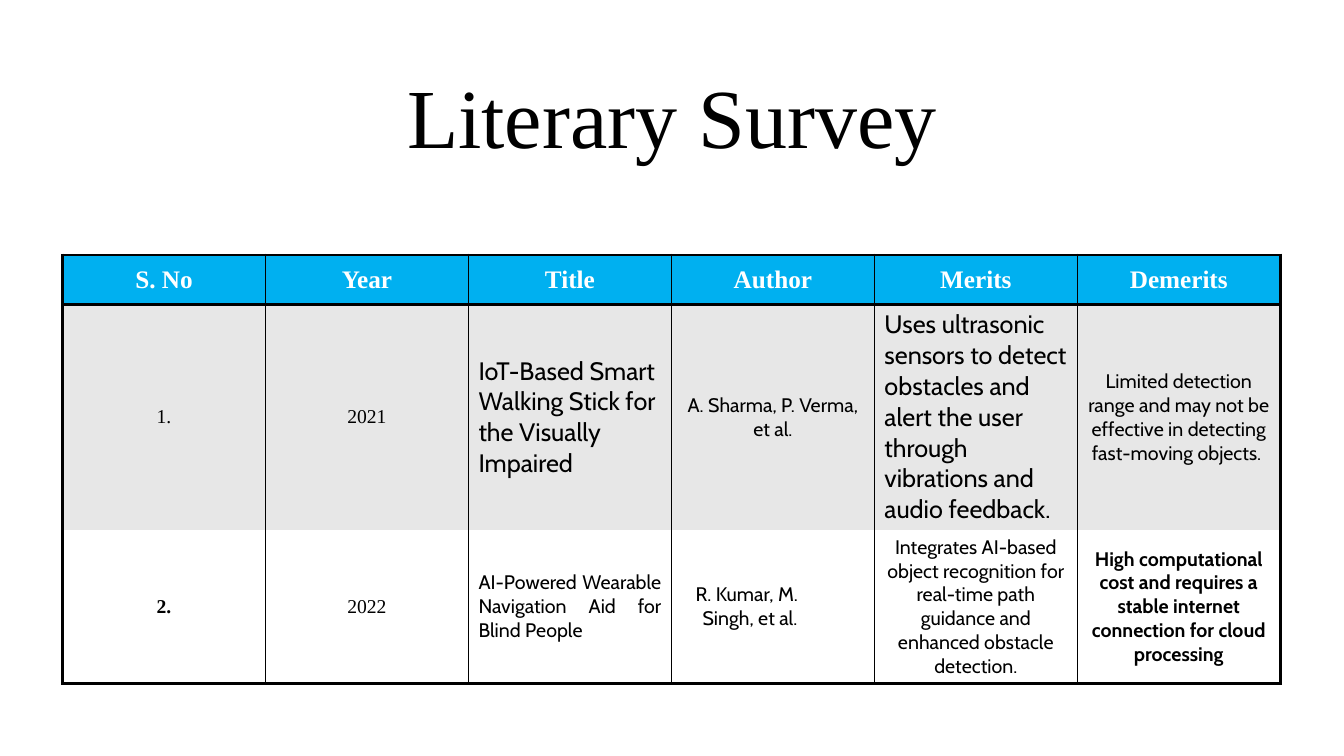
from lxml import etree
from pptx import Presentation
from pptx.dml.color import RGBColor
from pptx.enum.text import MSO_ANCHOR, PP_ALIGN
from pptx.oxml.ns import qn
from pptx.util import Inches, Pt

LEFT, CENTER, JUSTIFY = PP_ALIGN.LEFT, PP_ALIGN.CENTER, PP_ALIGN.JUSTIFY
MIDDLE = MSO_ANCHOR.MIDDLE
SERIF, SANS = "Times New Roman", "Cabin"
COLORS = {"black": "000000", "white": "FFFFFF", "header": "00B0F0", "band": "E7E7E7"}
WIDTH, HEIGHT = Inches(13.33), Inches(7.5)
INNER, HEADER_RULE, OUTER = 1, 2, 2.25

HEADERS = ["S. No", "Year", "Title", "Author", "Merits", "Demerits"]
ROW_HEIGHTS = [0.49, 2.24, 1.52]
ROW_FILLS = ["header", "band", "white"]
STUDIES = [
    [
        ("1.", SERIF, 14, False, CENTER),
        ("2021", SERIF, 14, False, CENTER),
        ("IoT-Based Smart Walking Stick for the Visually Impaired", SANS, 18, False, LEFT),
        ("A. Sharma, P. Verma, et al.", SANS, 14, False, CENTER),
        ("Uses ultrasonic sensors to detect obstacles and alert the user through "
         "vibrations and audio feedback.", SANS, 18, False, LEFT),
        ("Limited detection range and may not be effective in detecting "
         "fast-moving objects. ", SANS, 14, False, CENTER),
    ],
    [
        ("2.", SERIF, 14, True, CENTER),
        ("2022", SERIF, 14, False, CENTER),
        ("AI-Powered Wearable Navigation Aid for Blind People", SANS, 14, False, JUSTIFY),
        ("R. Kumar, M. Singh, et al.", SANS, 14, False, LEFT),
        ("Integrates AI-based object recognition for real-time path guidance and "
         "enhanced obstacle detection.", SANS, 14, False, CENTER),
        ("High computational cost and requires a stable internet connection for "
         "cloud processing", SANS, 14, True, CENTER),
    ],
]


def rgb(name):
    return RGBColor.from_string(COLORS[name])


def write_text(tf, text, font, size, bold, align, color="black"):
    tf.text = text
    tf.word_wrap = True
    p = tf.paragraphs[0]
    p.alignment = align
    r = p.runs[0]
    r.font.name, r.font.size, r.font.bold = font, Pt(size), bold
    r.font.color.rgb = rgb(color)
    return p


def add_title(slide, text):
    s = slide.shapes.add_textbox(
        round(WIDTH * 0.125), round(HEIGHT * 0.09), round(WIDTH * 0.75), round(HEIGHT * 0.14))
    s.text_frame.vertical_anchor = MIDDLE
    p = write_text(s.text_frame, text, SERIF, 60, False, CENTER)
    p.line_spacing = 0.9


def set_borders(cell, widths):
    tc_pr = cell._tc.get_or_add_tcPr()
    for side, width in widths.items():
        ln = etree.SubElement(tc_pr, qn(f"a:ln{side}"), w=str(Pt(width)))
        if width:
            fill = etree.SubElement(ln, qn("a:solidFill"))
            etree.SubElement(fill, qn("a:srgbClr"), val=COLORS["black"])
        else:
            etree.SubElement(ln, qn("a:noFill"))


def add_survey_table(slide):
    rows = [[(h, SERIF, 18, True, CENTER, "white") for h in HEADERS]] + STUDIES
    last_row, last_col = len(rows) - 1, len(HEADERS) - 1
    table = slide.shapes.add_table(
        len(rows), len(HEADERS), Inches(0.62), Inches(2.53),
        Inches(12.08), Inches(sum(ROW_HEIGHTS))).table
    table.first_row = table.horz_banding = False
    for i, row in enumerate(rows):
        table.rows[i].height = Inches(ROW_HEIGHTS[i])
        for j, content in enumerate(row):
            cell = table.cell(i, j)
            set_borders(cell, {
                "L": INNER if j else OUTER,
                "R": OUTER if j == last_col else INNER,
                "T": (OUTER, HEADER_RULE, 0)[i],
                "B": OUTER if i == last_row else (HEADER_RULE, 0)[i],
            })
            cell.fill.solid()
            cell.fill.fore_color.rgb = rgb(ROW_FILLS[i])
            cell.vertical_anchor = MIDDLE
            write_text(cell.text_frame, *content)
    return table


def indent_author(cell):
    cell.margin_right = Inches(0.35)
    p = cell.text_frame.paragraphs[0]
    p.space_before = Pt(2.4)
    p_pr = p._p.get_or_add_pPr()
    p_pr.set("marL", str(Inches(0.21)))
    p_pr.set("indent", str(Inches(-0.07)))


def main():
    prs = Presentation()
    prs.slide_width, prs.slide_height = WIDTH, HEIGHT
    slide = prs.slides.add_slide(prs.slide_layouts[6])
    add_title(slide, "Literary Survey")
    table = add_survey_table(slide)
    indent_author(table.cell(2, HEADERS.index("Author")))
    prs.save("out.pptx")


if __name__ == "__main__":
    main()
